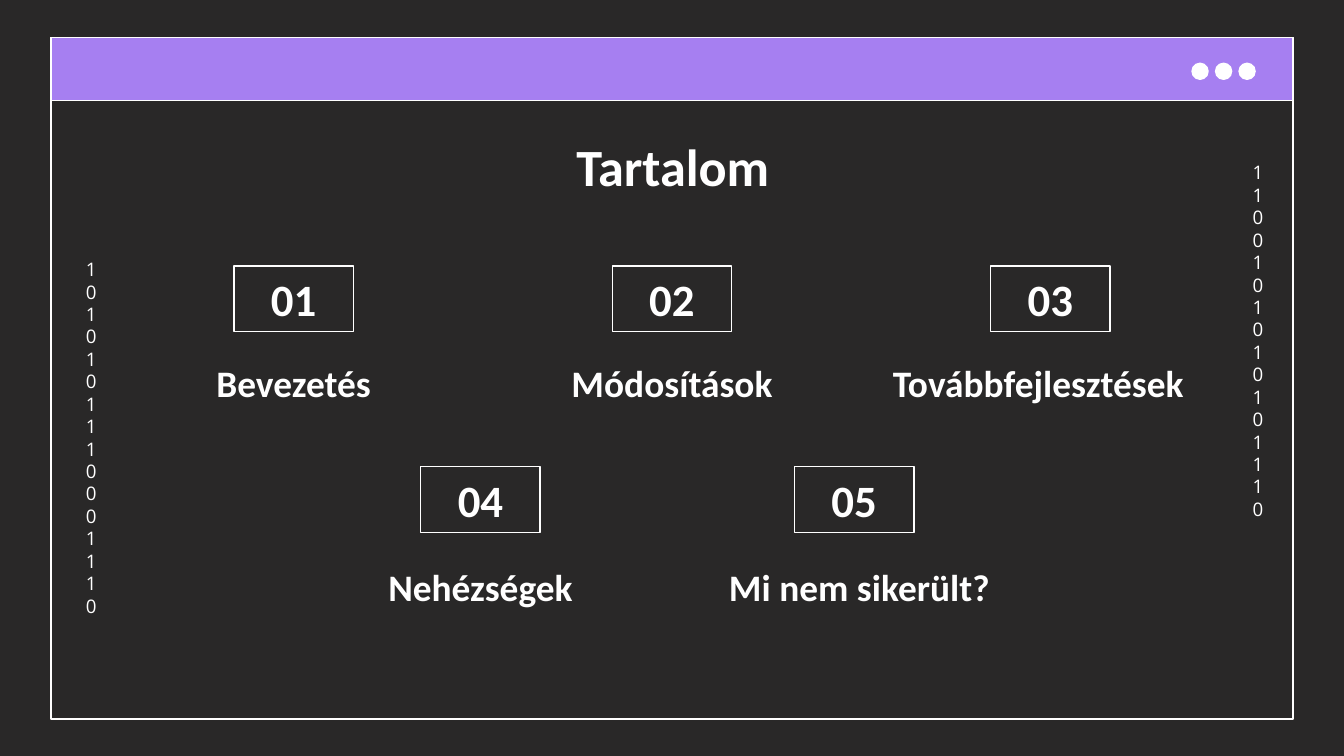
import pptx
import pptx.util
import pptx.dml.color
import pptx.enum.shapes
import pptx.enum.text

Pt = pptx.util.Pt
RGB = pptx.dml.color.RGBColor
SHAPE = pptx.enum.shapes.MSO_SHAPE
ALIGN = pptx.enum.text.PP_ALIGN
ANCHOR = pptx.enum.text.MSO_ANCHOR

DARK = RGB(0x29, 0x28, 0x28)
PURPLE = RGB(0xA6, 0x7F, 0xF1)
WHITE = RGB(0xFF, 0xFF, 0xFF)

# Number, number centre, label, label centre, label width
TOP = [
    ("01", 157.3, "Bevezetés", 157.3, 201),
    ("02", 360, "Módosítások", 360, 201),
    ("03", 562.7, "Továbbfejlesztések", 556.2, 214),
]
LOW = [
    ("04", 257.4, "Nehézségek", 257.4, 219.6),
    ("05", 457.6, "Mi nem sikerült?", 460.4, 219.6),
]


def add_form(slide, kind, left, top, width, height, fill=None):
    form = slide.shapes.add_shape(
        kind, Pt(left), Pt(top), Pt(width), Pt(height))
    form.shadow.inherit = False
    if fill is None:
        form.fill.background()
    else:
        form.fill.solid()
        form.fill.fore_color.rgb = fill
    form.line.color.rgb = WHITE
    form.line.width = Pt(0.75)
    return form


def set_text(form, text, size, font="Calibri", bold=True, anchor=ANCHOR.TOP):
    frame = form.text_frame
    frame.word_wrap = True
    frame.vertical_anchor = anchor
    frame.margin_left = frame.margin_right = Pt(7.2)
    frame.margin_top = frame.margin_bottom = Pt(7.2)
    frame.text = text
    for para in frame.paragraphs:
        para.alignment = ALIGN.CENTER
        for run in para.runs:
            run.font.name = font
            run.font.size = Pt(size)
            run.font.bold = bold
            run.font.color.rgb = WHITE


def add_text(slide, text, left, top, width, height, size, **style):
    box = slide.shapes.add_textbox(
        Pt(left), Pt(top), Pt(width), Pt(height))
    set_text(box, text, size, **style)


def add_bits(slide, text, left, top):
    # The narrow box wraps after every digit
    add_text(slide, text, left, top, 17.3, 201.6, 10,
             font="Open Sans", bold=False)


def add_window(slide):
    add_form(slide, SHAPE.RECTANGLE, 27.4, 20.2, 665.3, 365)
    add_form(slide, SHAPE.RECTANGLE, 27.4, 20.2, 665.3, 33.6, PURPLE)
    for i in range(3):
        add_form(slide, SHAPE.OVAL, 638.6 + 12.6 * i, 33.9, 8.6, 8.6, WHITE)


def add_row(slide, items, top, drop, height):
    for num, mid, label, axis, width in items:
        box = add_form(slide, SHAPE.RECTANGLE, mid - 32, top, 64, 35.3)
        set_text(box, num, 24, anchor=ANCHOR.MIDDLE)
        add_text(slide, label, axis - width / 2, top + drop,
                 width, height, 20)


def main():
    deck = pptx.Presentation()
    deck.slide_width = Pt(720)
    deck.slide_height = Pt(405)
    slide = deck.slides.add_slide(deck.slide_layouts[6])
    slide.background.fill.solid()
    slide.background.fill.fore_color.rgb = DARK

    # Window frame and digit columns
    add_window(slide)
    add_bits(slide, "1100101010101110", 664, 79.2)
    add_bits(slide, "101010111000111\n0", 38.9, 131)

    # Title and contents
    add_text(slide, "Tartalom", 56.9, 64.8, 607, 45.4, 28)
    add_row(slide, TOP, 142.5, 43.3, 40.3)
    add_row(slide, LOW, 249.9, 45.3, 45.4)

    deck.save("out.pptx")


if __name__ == "__main__":
    main()
